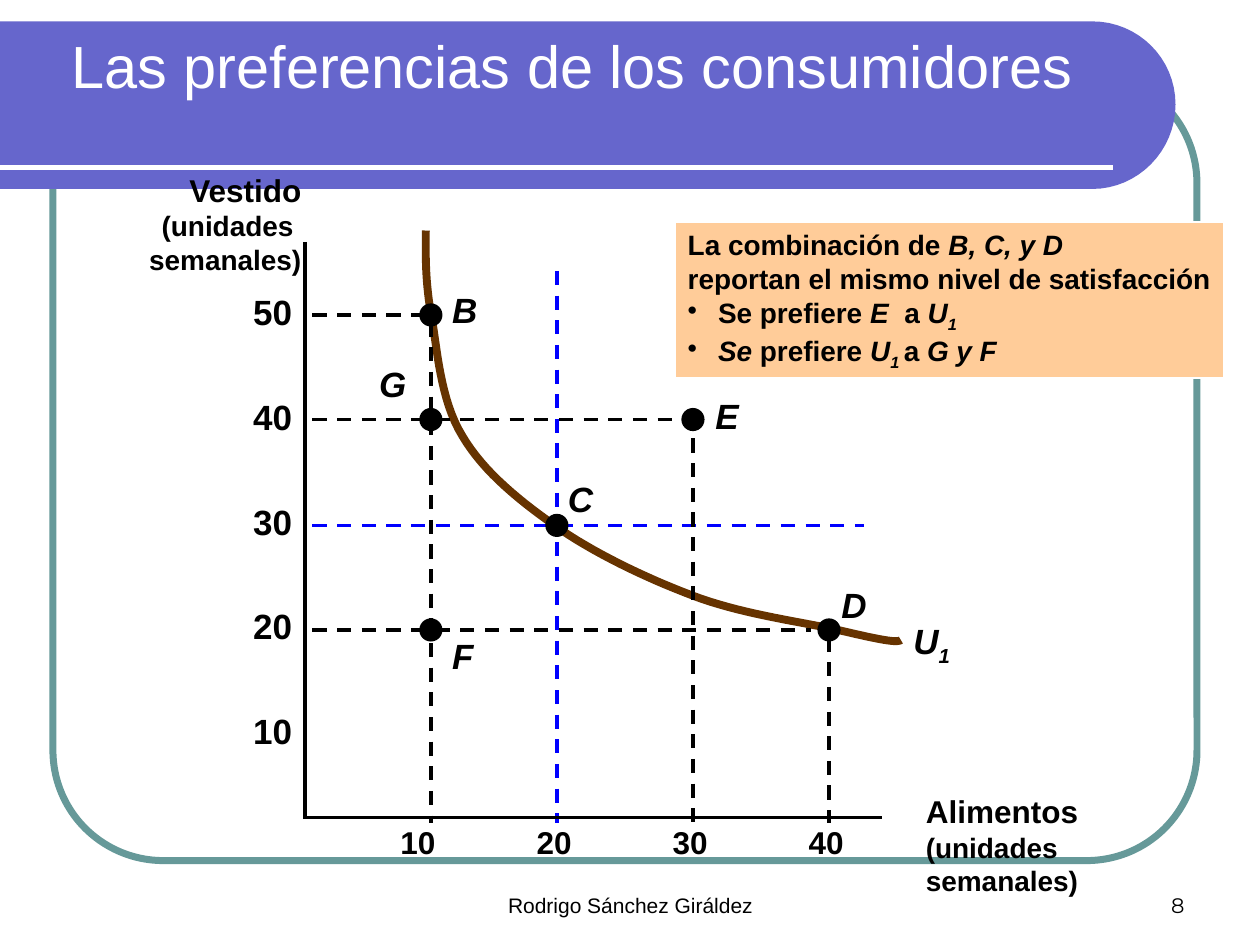
from typing import NamedTuple

import pptx
import pptx.dml.color
import pptx.enum.dml
import pptx.enum.shapes
import pptx.enum.text
import pptx.util
from lxml import etree
from pptx.oxml.ns import qn
from pptx.util import Inches

RGBColor = pptx.dml.color.RGBColor
Shapes = pptx.enum.shapes.MSO_SHAPE
Align = pptx.enum.text.PP_ALIGN
Anchor = pptx.enum.text.MSO_ANCHOR

WHITE = RGBColor(0xFF, 0xFF, 0xFF)
BLACK = RGBColor(0, 0, 0)
BLUE = RGBColor(0, 0, 0xFF)
VIOLET = RGBColor(0x66, 0x66, 0xCC)
TEAL = RGBColor(0x66, 0x99, 0x99)
BROWN = RGBColor(0x66, 0x33, 0x00)
PEACH = RGBColor(0xFF, 0xCC, 0x99)

Point = tuple[float, float]


class Run(NamedTuple):
    text: str
    size: float = 16
    bold: bool = True
    italic: bool = False
    subscript: bool = False
    color: RGBColor = BLACK
    font: str = "Arial"


class Paragraph(NamedTuple):
    runs: list[Run]
    bullet: bool = False


class Bundle(NamedTuple):
    """A labelled consumption bundle on the graph."""
    letter: str
    food: int
    clothing: int
    label_at: Point
    label_width: float


class Guide(NamedTuple):
    start: Point
    end: Point
    color: RGBColor = BLACK


FOOD_X = {10: 3.42, 20: 4.42, 30: 5.5, 40: 6.58}
CLOTHING_Y = {50: 2.5, 40: 3.33, 30: 4.17, 20: 5.0}
GUIDE_LEFT, GUIDE_BOTTOM = 2.48, 6.53

GUIDES = [
    Guide((GUIDE_LEFT, CLOTHING_Y[30]), (6.86, CLOTHING_Y[30]), BLUE),
    Guide((FOOD_X[20], 2.15), (FOOD_X[20], GUIDE_BOTTOM), BLUE),
    Guide((GUIDE_LEFT, CLOTHING_Y[50]), (3.36, CLOTHING_Y[50])),
    Guide((GUIDE_LEFT, CLOTHING_Y[40]), (5.44, CLOTHING_Y[40])),
    Guide((GUIDE_LEFT, CLOTHING_Y[20]), (6.44, CLOTHING_Y[20])),
    Guide((FOOD_X[10], 2.56), (FOOD_X[10], GUIDE_BOTTOM)),
    Guide((FOOD_X[30], 3.48), (FOOD_X[30], GUIDE_BOTTOM)),
    Guide((FOOD_X[40], 5.06), (FOOD_X[40], GUIDE_BOTTOM)),
]
BUNDLES = [
    Bundle("F", 10, 20, (3.49, 4.99), 0.37),
    Bundle("G", 10, 40, (2.91, 2.83), 0.41),
    Bundle("B", 10, 50, (3.49, 2.24), 0.4),
    Bundle("C", 20, 30, (4.41, 3.74), 0.4),
    Bundle("E", 30, 40, (5.58, 3.08), 0.38),
    Bundle("D", 40, 20, (6.58, 4.58), 0.4),
]
INDIFFERENCE_CURVE = [
    (3.38, 1.83), (3.38, 1.94), (3.37, 2.21), (3.42, 2.48),
    (3.47, 2.75), (3.49, 3.17), (3.67, 3.46), (3.84, 3.75),
    (4.14, 3.99), (4.46, 4.21), (4.77, 4.42), (5.2, 4.62),
    (5.56, 4.75), (5.93, 4.88), (6.38, 4.94), (6.65, 5.0),
    (6.91, 5.06), (7.12, 5.11), (7.15, 5.08),
]
BANNER_END = [(8.67, 0.17), (9.03, 0.17), (9.33, 0.46), (9.33, 0.83),
              (9.33, 1.2), (9.03, 1.5), (8.67, 1.5)]
CALLOUT = [
    Paragraph([Run("La combinación de "), Run("B, C, y D", italic=True)]),
    Paragraph([Run("reportan el mismo nivel de satisfacción")]),
    Paragraph([Run("Se prefiere"), Run(" E ", italic=True), Run(" a "),
               Run("U", italic=True), Run("1", italic=True, subscript=True)], True),
    Paragraph([Run("Se ", italic=True), Run("prefiere"), Run(" U", italic=True),
               Run("1 ", italic=True, subscript=True), Run("a "),
               Run("G y F", italic=True)], True),
]


def bezier_points(controls: list[Point], steps: int = 16) -> list[Point]:
    """Sample a chain of cubic segments that share their end points."""
    points = [controls[0]]
    for first in range(0, len(controls) - 1, 3):
        segment = controls[first:first + 4]
        for step in range(1, steps + 1):
            t = step / steps
            weights = ((1 - t) ** 3, 3 * t * (1 - t) ** 2, 3 * t * t * (1 - t), t ** 3)
            points.append((sum(w * x for w, (x, _) in zip(weights, segment)),
                           sum(w * y for w, (_, y) in zip(weights, segment))))
    return points


def add_outline(slide, points: list[Point], close: bool):
    (left, top), *rest = [(Inches(x), Inches(y)) for x, y in points]
    builder = slide.shapes.build_freeform(left, top)
    builder.add_line_segments(rest, close=close)
    outline = builder.convert_to_shape()
    outline.shadow.inherit = False
    return outline


def add_line(slide, start: Point, end: Point, color: RGBColor = BLACK,
             width: float = 2, dashed: bool = False) -> None:
    line = slide.shapes.add_connector(
        pptx.enum.shapes.MSO_CONNECTOR.STRAIGHT, *map(Inches, start + end))
    line.line.color.rgb = color
    line.line.width = pptx.util.Pt(width)
    if dashed:
        line.line.dash_style = pptx.enum.dml.MSO_LINE.DASH
    etree.SubElement(line._element.spPr, qn("a:effectLst"))


def add_shape(slide, kind, left: float, top: float, width: float, height: float,
              fill: RGBColor | None, line: RGBColor, line_width: float = 1):
    shape = slide.shapes.add_shape(kind, *map(Inches, (left, top, width, height)))
    shape.shadow.inherit = False
    if fill is None:
        shape.fill.background()
    else:
        shape.fill.solid()
        shape.fill.fore_color.rgb = fill
    shape.line.color.rgb = line
    shape.line.width = pptx.util.Pt(line_width)
    return shape


def write(frame, paragraphs: list[Paragraph], align=Align.LEFT,
          anchor=Anchor.TOP, wrap: bool = False) -> None:
    frame.word_wrap = wrap
    frame.vertical_anchor = anchor
    if not wrap:
        frame.auto_size = pptx.enum.text.MSO_AUTO_SIZE.SHAPE_TO_FIT_TEXT
    for index, content in enumerate(paragraphs):
        paragraph = frame.add_paragraph() if index else frame.paragraphs[0]
        paragraph.alignment = align
        if content.bullet:
            properties = paragraph._p.get_or_add_pPr()
            properties.set("marL", str(Inches(0.24)))
            properties.set("indent", str(Inches(-0.24)))
            etree.SubElement(properties, qn("a:buChar")).set("char", "•")
        for part in content.runs:
            run = paragraph.add_run()
            run.text = part.text
            run.font.name = part.font
            run.font.size = pptx.util.Pt(part.size)
            run.font.bold = part.bold
            run.font.italic = part.italic
            run.font.color.rgb = part.color
            if part.subscript:
                run._r.get_or_add_rPr().set("baseline", "-25000")


def add_text(slide, left: float, top: float, width: float, height: float,
             lines: list[list[Run]], **layout) -> None:
    box = slide.shapes.add_textbox(*map(Inches, (left, top, width, height)))
    write(box.text_frame, [Paragraph(runs) for runs in lines], **layout)


def add_frame(slide) -> None:
    border = add_shape(slide, Shapes.ROUNDED_RECTANGLE, 0.42, 0.58, 9.08, 6.25, None, TEAL, 4)
    border.adjustments[0] = 0.14
    banner = add_outline(slide, [(0, 0.17)] + bezier_points(BANNER_END) + [(0, 1.5)], True)
    banner.fill.solid()
    banner.fill.fore_color.rgb = VIOLET
    banner.line.fill.background()
    add_line(slide, (0, 1.33), (8.83, 1.33), WHITE, 3)
    add_text(slide, 0.47, 0, 9.53, 0.85,
             [[Run("Las preferencias de los consumidores", 34, False, color=WHITE)]],
             anchor=Anchor.BOTTOM, wrap=True)
    add_text(slide, 3.42, 6.83, 3.17, 0.5, [[Run("Rodrigo Sánchez Giráldez", 12, False)]],
             align=Align.CENTER, anchor=Anchor.BOTTOM, wrap=True)
    add_text(slide, 7.17, 6.83, 2.33, 0.5, [[Run("8", 12, False, font="Montserrat")]],
             align=Align.RIGHT, anchor=Anchor.BOTTOM, wrap=True)


def add_graph(slide) -> None:
    curve = add_outline(slide, bezier_points(INDIFFERENCE_CURVE), False)
    curve.fill.background()
    curve.line.color.rgb = BROWN
    curve.line.width = pptx.util.Pt(4.5)
    for guide in GUIDES:
        add_line(slide, guide.start, guide.end, guide.color, dashed=True)
    add_line(slide, (2.42, 1.92), (2.42, 6.5))
    add_line(slide, (2.41, 6.49), (7, 6.49))
    for step in range(5):
        add_text(slide, 1.91, 5.58 - 0.83 * step, 0.51, 0.43, [[Run(str(10 + 10 * step), 20)]])
    for step, food in enumerate(FOOD_X):
        add_text(slide, 3.08 + 1.08 * step, 6.48, 0.48, 0.4, [[Run(str(food), 18)]])
    add_text(slide, 1.08, 1.31, 1.41, 0.93,
             [[Run("Vestido", 18)], [Run("(unidades ")], [Run("semanales)")]], align=Align.RIGHT)
    add_text(slide, 7.25, 6.24, 2.51, 0.66,
             [[Run("Alimentos", 18)], [Run("(unidades semanales)")]])
    add_text(slide, 7.15, 4.87, 0.49, 0.48,
             [[Run("U", 20, italic=True), Run("1", 20, italic=True, subscript=True)]])
    for bundle in BUNDLES:
        add_shape(slide, Shapes.OVAL, FOOD_X[bundle.food] - 0.085,
                  CLOTHING_Y[bundle.clothing] - 0.085, 0.17, 0.17, BLACK, BLACK)
        add_text(slide, *bundle.label_at, bundle.label_width, 0.43,
                 [[Run(bundle.letter, 20, italic=True)]])


def main() -> None:
    deck = pptx.Presentation()
    deck.slide_width, deck.slide_height = Inches(10), Inches(7.5)
    slide = deck.slides.add_slide(deck.slide_layouts[6])
    add_frame(slide)
    add_graph(slide)
    callout = add_shape(slide, Shapes.RECTANGLE, 5.36, 1.76, 4.35, 1.24, PEACH, WHITE)
    write(callout.text_frame, CALLOUT)
    deck.save("out.pptx")


if __name__ == "__main__":
    main()
